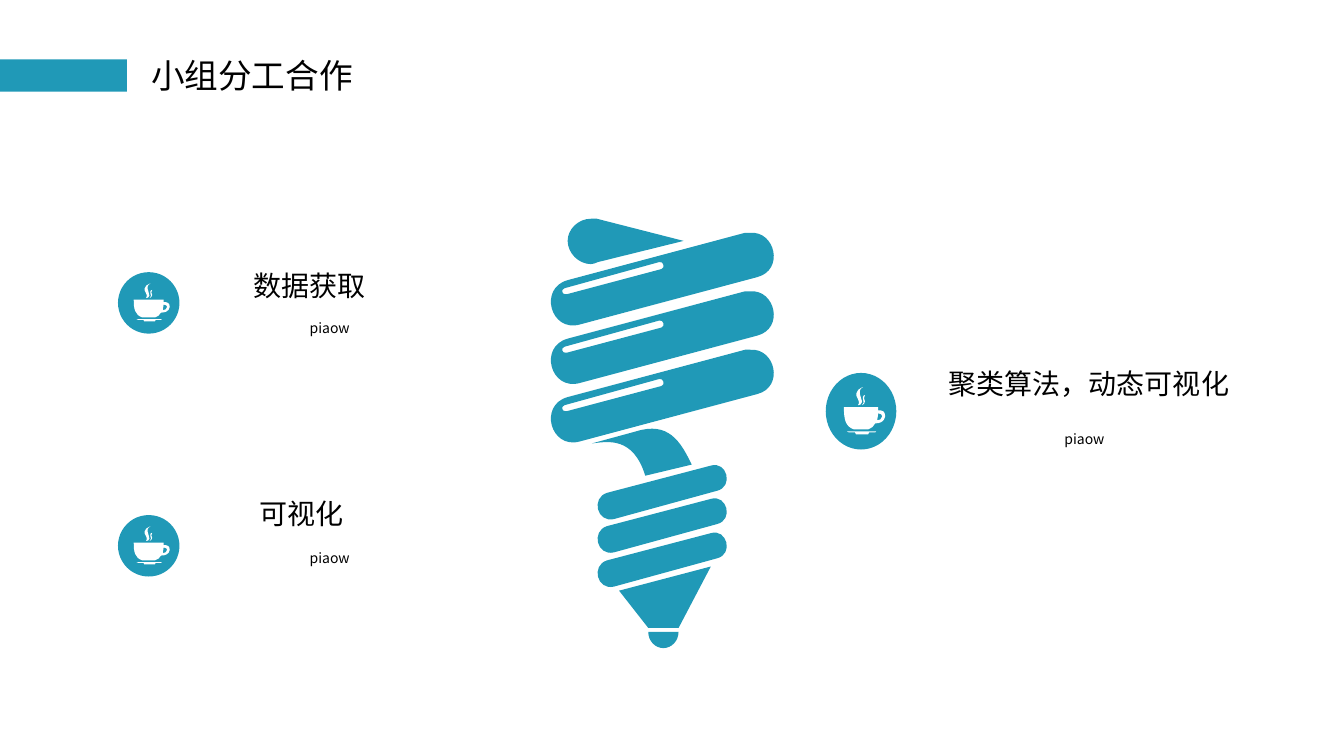
from dataclasses import dataclass
from pptx import Presentation
from pptx.dml.color import RGBColor
from pptx.enum.shapes import MSO_SHAPE
from pptx.enum.text import MSO_AUTO_SIZE, PP_ALIGN
from pptx.oxml.ns import qn
from pptx.util import Inches, Pt
from lxml.etree import SubElement


@dataclass(frozen=True)
class Theme:
    teal: RGBColor = RGBColor(0x20, 0x99, 0xB7)
    white: RGBColor = RGBColor(255, 255, 255)
    black: RGBColor = RGBColor(0, 0, 0)
    font: str = "Noto Sans CJK SC"
    title: int = 24
    head: int = 20
    body: int = 10


COIL = """M 6.54 2.6 L 5.6 2.86 C 5.56 2.87 5.57 2.93 5.62 2.92
    L 6.56 2.67 C 6.6 2.66 6.58 2.59 6.54 2.6 Z
    M 7.44 2.31 C 7.69 2.29 7.78 2.68 7.51 2.75 L 5.75 3.22
    C 5.46 3.3 5.34 2.86 5.63 2.78 L 7.39 2.31 C 7.41 2.31 7.43 2.31 7.44 2.31 Z"""
RING = """M 6.02 4.89 C 5.86 4.94 5.92 5.19 6.09 5.15 L 7.11 4.87
    C 7.28 4.83 7.21 4.57 7.05 4.62 Z"""
NECK = """M 6.31 4.28 C 6.63 4.18 6.75 4.38 6.86 4.61 L 6.4 4.72
    C 6.28 4.33 6.03 4.38 5.87 4.4 Z"""
CONE = "M 7.05 5.62 L 6.73 6.23 L 6.43 6.23 L 6.14 5.86 Z"
TIP = "M 6.73 6.27 C 6.73 6.36 6.66 6.43 6.58 6.43 C 6.5 6.43 6.43 6.36 6.43 6.27 Z"
CAP = """M 5.86 2.17 L 5.92 2.17 L 6.78 2.39 L 5.93 2.6
    C 5.91 2.61 5.88 2.62 5.86 2.62 C 5.74 2.62 5.63 2.51 5.63 2.39
    C 5.63 2.27 5.74 2.17 5.86 2.17 Z"""

CUP = (
    """M 0.23 0.59 L 0.29 0.59 L 0.3 0.61 L 0.42 0.61 L 0.43 0.59
    L 0.49 0.59 L 0.5 0.58 L 0.21 0.58 Z""",
    """M 0.57 0.38 C 0.56 0.37 0.53 0.37 0.52 0.37 L 0.52 0.34 L 0.18 0.34
    C 0.18 0.45 0.19 0.53 0.28 0.56 L 0.42 0.56 C 0.45 0.55 0.48 0.53 0.49 0.5
    C 0.53 0.5 0.58 0.49 0.59 0.43 C 0.59 0.4 0.58 0.39 0.57 0.38 Z
    M 0.51 0.47 C 0.51 0.45 0.52 0.43 0.52 0.4 L 0.55 0.41 L 0.56 0.43
    C 0.56 0.46 0.53 0.47 0.51 0.47 Z""",
    """M 0.32 0.32 C 0.32 0.32 0.38 0.32 0.35 0.25 C 0.33 0.19 0.33 0.16 0.37 0.14
    C 0.37 0.14 0.26 0.17 0.32 0.26 C 0.34 0.3 0.32 0.32 0.32 0.32 Z""",
    """M 0.36 0.32 C 0.36 0.32 0.41 0.3 0.38 0.25 L 0.39 0.22
    C 0.39 0.22 0.36 0.22 0.37 0.26 C 0.38 0.29 0.38 0.3 0.36 0.32 Z""",
)
TAGS = {"M": "a:moveTo", "L": "a:lnTo", "C": "a:cubicBezTo", "Z": "a:close"}


def trace(text, left, top, wide, high):
    words = iter(text.split())
    for kind in words:
        count = {"C": 3, "Z": 0}.get(kind, 1)
        pts = []
        for _ in range(count):
            x, y = float(next(words)), float(next(words))
            pts.append((Inches(left + x * wide), Inches(top + y * high)))
        yield kind, pts


def bend(ends, steps=8):
    for i in range(1, steps + 1):
        t = i / steps
        u = 1 - t
        yield tuple(
            u**3 * a + 3 * u * u * t * b + 3 * u * t * t * c + t**3 * d
            for a, b, c, d in zip(*ends)
        )


class Deck:
    def __init__(self, theme):
        self.theme = theme
        self.prs = Presentation()
        self.prs.slide_width = Inches(13.33)
        self.prs.slide_height = Inches(7.5)
        self.slide = self.prs.slides.add_slide(self.prs.slide_layouts[6])
        self.items = self.slide.shapes

    def group(self):
        self.items = self.slide.shapes.add_group_shape().shapes

    def paint(self, shape, color):
        shape.shadow.inherit = False
        shape.fill.solid()
        shape.fill.fore_color.rgb = color
        shape.line.fill.background()

    def shape(self, kind, *area):
        item = self.items.add_shape(kind, *map(Inches, area))
        self.paint(item, self.theme.teal)

    def free(self, text, color, left=0, top=0, wide=1, high=1):
        moves = list(trace(text, left, top, wide, high))
        edge = []
        for kind, pts in moves:
            edge += bend([edge[-1], *pts]) if kind == "C" else pts
        pen = self.items.build_freeform(*edge[0], scale=1.0)
        pen.add_line_segments(edge[1:])
        item = pen.convert_to_shape()
        track = next(item._element.iter(qn("a:path")))
        del track[:]
        for kind, pts in moves:
            step = SubElement(track, qn(TAGS[kind]))
            for x, y in pts:
                spot = SubElement(step, qn("a:pt"))
                spot.set("x", str(x - item.left))
                spot.set("y", str(y - item.top))
        self.paint(item, color)

    def text(self, words, area, size, inset=0.1, align=PP_ALIGN.LEFT, gap=1.0):
        frame = self.items.add_textbox(*map(Inches, area)).text_frame
        frame.word_wrap = True
        frame.auto_size = MSO_AUTO_SIZE.SHAPE_TO_FIT_TEXT
        frame.margin_left = Inches(inset)
        para = frame.paragraphs[0]
        para.alignment = align
        para.line_spacing = gap
        run = para.add_run()
        run.text = words
        run.font.size = Pt(size)
        run.font.name = self.theme.font
        run.font.color.rgb = self.theme.black
        SubElement(run.font._element, qn("a:ea")).set("typeface", self.theme.font)

    def bulb(self):
        self.group()
        for drop in (0.33, 0.67, 0):
            self.free(RING, self.theme.teal, top=drop)
        for part in (NECK, CONE, TIP, CAP):
            self.free(part, self.theme.teal)
        for row in range(3):
            self.free(COIL, self.theme.teal, top=row * 0.58)

    def task(self, head, name, disc, head_area, name_area, inset):
        self.group()
        left, top, wide, high = disc
        self.shape(MSO_SHAPE.OVAL, *disc)
        for part in CUP:
            self.free(part, self.theme.white, left, top, wide / 0.7, high / 0.76)
        self.text(name, name_area, self.theme.body, align=PP_ALIGN.CENTER, gap=1.5)
        self.text(head, head_area, self.theme.head, inset)

    def title(self, words):
        self.group()
        self.text(words, (1.4, 0.5, 2.73, 0.5), self.theme.title)
        self.shape(MSO_SHAPE.RECTANGLE, 0, 0.59, 1.26, 0.32)


TASKS = (
    ("数据获取", "piaow", (1.17, 2.7, 0.61, 0.61),
     (2.22, 2.61, 2.2, 0.44), (2.01, 3.04, 2.52, 0.35), 0.29),
    ("可视化", "piaow", (1.17, 5.11, 0.61, 0.61),
     (2.22, 4.88, 2.2, 0.44), (2.01, 5.32, 2.52, 0.35), 0.35),
    ("聚类算法，动态可视化", "piaow", (8.19, 3.7, 0.7, 0.76),
     (9.31, 3.59, 3.17, 0.44), (9.3, 4.14, 2.91, 0.35), 0.1),
)


def main():
    deck = Deck(Theme())
    deck.bulb()
    for task in TASKS:
        deck.task(*task)
    deck.title("小组分工合作")
    deck.prs.save("out.pptx")


if __name__ == "__main__":
    main()
